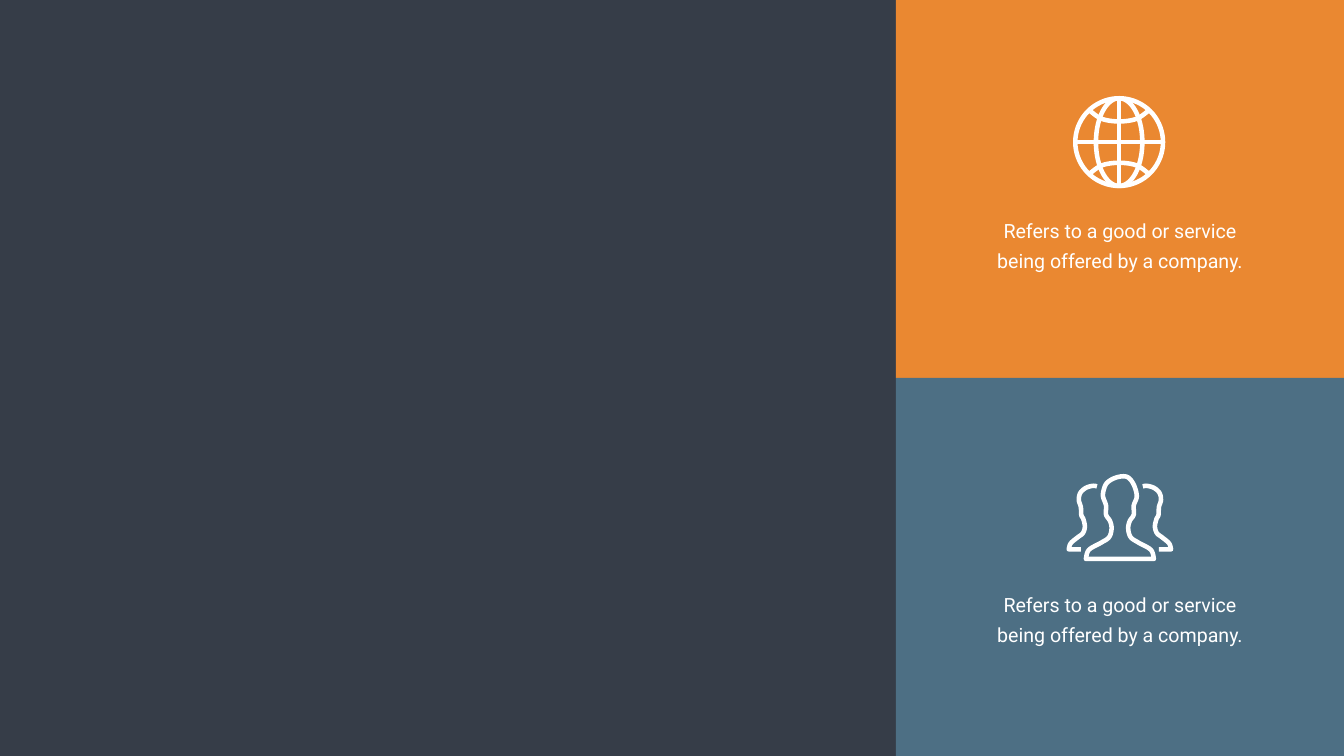
from dataclasses import dataclass
from math import cos, pi, sin

from pptx import Presentation
from pptx.dml.color import RGBColor
from pptx.enum.shapes import MSO_SHAPE
from pptx.enum.text import MSO_AUTO_SIZE, PP_ALIGN
from pptx.util import Inches, Pt


@dataclass(frozen=True)
class Theme:
    back: str = "363D48"
    warm: str = "EA8831"
    cool: str = "4D6F84"
    white: str = "FFFFFF"
    font: str = "Roboto"
    size: float = 28
    lead: float = 43
    stroke: float = 6.5


def curve(points, steps=6):
    ends = [points[0], *points, points[-1]]
    result = [points[0]]
    for a, b, c, d in zip(ends, ends[1:], ends[2:], ends[3:]):
        for step in range(1, steps + 1):
            t = step / steps
            result.append(tuple(
                (2 * q + (r - p) * t + (2 * p - 5 * q + 4 * r - s) * t ** 2
                 + (3 * q - p - 3 * r + s) * t ** 3) / 2
                for p, q, r, s in zip(a, b, c, d)))
    return result


def ellipse(x, y, wide, high, count=72):
    turns = [2 * pi * i / count for i in range(count)]
    return [(x + wide * cos(t), y + high * sin(t)) for t in turns]


def mirror(points, axis):
    return [(2 * axis - x, y) for x, y in points]


def write(frame, text, font, size, color, lead, align=PP_ALIGN.CENTER):
    para = frame.paragraphs[0]
    para.alignment = align
    para.line_spacing = Pt(lead)
    run = para.add_run()
    run.text = text
    run.font.name = font
    run.font.size = Pt(size)
    run.font.color.rgb = RGBColor.from_string(color)


class Deck:
    def __init__(self, slide, theme):
        self.slide = slide
        self.theme = theme
        fill = slide.background.fill
        fill.solid()
        fill.fore_color.rgb = RGBColor.from_string(theme.back)

    def panel(self, x, y, wide, high, color):
        shape = self.slide.shapes.add_shape(
            MSO_SHAPE.RECTANGLE, *map(Inches, (x, y, wide, high)))
        shape.shadow.inherit = False
        shape.fill.solid()
        shape.fill.fore_color.rgb = RGBColor.from_string(color)
        shape.line.fill.background()

    def label(self, x, y, wide, high, text):
        box = self.slide.shapes.add_textbox(*map(Inches, (x, y, wide, high)))
        frame = box.text_frame
        frame.word_wrap = True
        frame.auto_size = MSO_AUTO_SIZE.SHAPE_TO_FIT_TEXT
        frame.margin_left = frame.margin_right = Inches(0.24)
        frame.margin_top = frame.margin_bottom = Inches(0.12)
        look = self.theme
        write(frame, text, font=look.font, size=look.size,
              color=look.white, lead=look.lead)

    def icon(self, parts):
        pen = None
        for points, close in parts:
            start, *rest = [(Inches(x), Inches(y)) for x, y in points]
            if pen is None:
                pen = self.slide.shapes.build_freeform(*start)
            else:
                pen.move_to(*start)
            pen.add_line_segments(rest, close=close)
        shape = pen.convert_to_shape()
        shape.shadow.inherit = False
        shape.fill.background()
        shape.line.width = Pt(self.theme.stroke)
        shape.line.color.rgb = RGBColor.from_string(self.theme.white)

    def globe(self, x, y, radius=0.87):
        arc = [(-0.58, 0.62), (-0.34, 0.46), (0, 0.41), (0.34, 0.46), (0.58, 0.62)]
        bands = [(curve([(x + dx, y + side * dy) for dx, dy in arc]), False)
                 for side in (-1, 1)]
        self.icon([
            (ellipse(x, y, radius, radius), True),
            (ellipse(x, y, 0.46, radius), True),
            ([(x - radius, y), (x + radius, y)], False),
            ([(x, y - radius), (x, y + radius)], False),
            *bands,
        ])

    def people(self, axis):
        body = [(21.54, 11.09), (21.6, 10.91), (21.84, 10.77), (22, 10.66),
                (22.05, 10.49), (22.02, 10.34), (21.94, 10.21), (21.94, 10.03),
                (21.88, 9.85)]
        crown = [(21.9, 9.7), (21.96, 9.58), (22.1, 9.49), (22.28, 9.45),
                 (22.4, 9.49), (22.5, 9.64)]
        side = [(21.2, 10.9), (21.24, 10.78), (21.38, 10.66), (21.48, 10.58),
                (21.52, 10.45), (21.49, 10.3), (21.45, 10.22), (21.44, 10.06),
                (21.4, 9.92), (21.43, 9.78), (21.54, 9.68), (21.68, 9.64),
                (21.76, 9.65)]
        front = curve(body + crown + mirror(body, axis)[::-1])
        left = [(21.44, 10.9), *curve(side)]
        self.icon([(front, True), (left, False), (mirror(left, axis), False)])


def main():
    show = Presentation()
    wide, high = 26.66, 15
    show.slide_width, show.slide_height = Inches(wide), Inches(high)
    look = Theme()
    deck = Deck(show.slides.add_slide(show.slide_layouts[6]), look)
    edge, half = 17.77, high / 2
    for row, (color, top) in enumerate([(look.warm, 4.1), (look.cool, 11.52)]):
        deck.panel(edge, row * half, wide - edge, half, color)
        deck.label(19.49, top, 5.45, 1.39,
                   "Refers to a good or service being offered by a company.")
    deck.globe(22.2, 2.82)
    deck.people(22.215)
    show.save("out.pptx")


if __name__ == "__main__":
    main()
